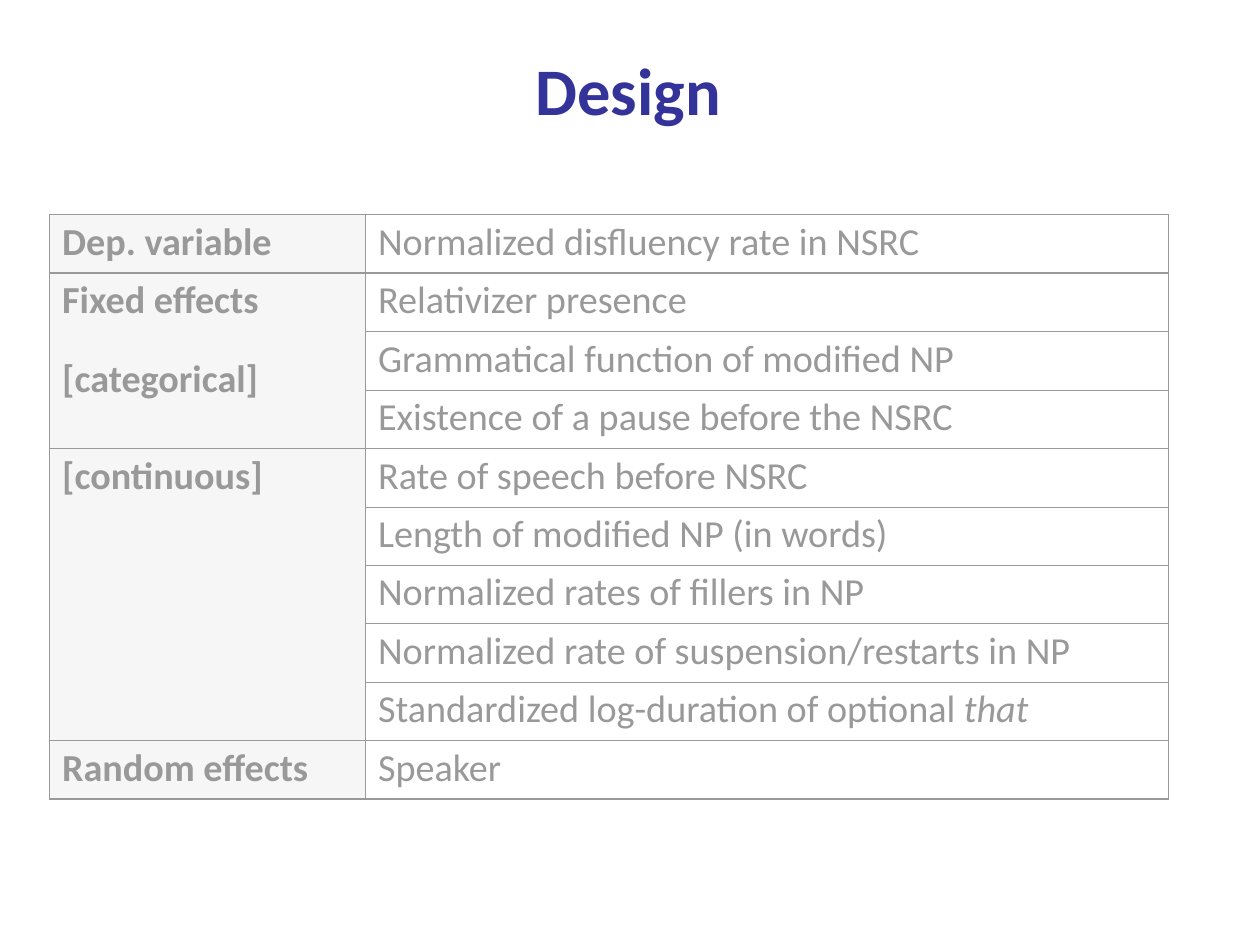
import pptx
import pptx.dml.color
import pptx.enum.shapes
import pptx.enum.text
import pptx.oxml
import pptx.oxml.ns
import pptx.util

Pt = pptx.util.Pt
RGBColor = pptx.dml.color.RGBColor

NAVY = RGBColor(0x33, 0x33, 0x99)
BLACK = RGBColor(0, 0, 0)
WHITE = RGBColor(0xFF, 0xFF, 0xFF)
LABEL_GREY = RGBColor(0xEA, 0xEA, 0xEA)

DESIGN = [
    (["Dep. variable"], [["Normalized disfluency rate in NSRC"]]),
    (["Fixed effects", "[categorical]"], [
        ["Relativizer presence"],
        ["Grammatical function of modified NP"],
        ["Existence of a pause before the NSRC"],
    ]),
    (["[continuous]"], [
        ["Rate of speech before NSRC"],
        ["Length of modified NP (in words)"],
        ["Normalized rates of fillers in NP"],
        ["Normalized rate of suspension/restarts in NP"],
        ["Standardized log-duration of optional ", "that"],
    ]),
    (["Random effects"], [["Speaker"]]),
]


class DesignPage:
    """Draws styled elements on one slide, with all lengths in points."""

    font_name = "Calibri"
    title_size, table_size = 54, 31
    paragraph_gap = 26
    thin, outer, rule = 0.45, 1.08, 1.47

    def __init__(self, deck):
        self.page = deck.slides.add_slide(deck.slide_layouts[5])

    def style(self, paragraph, size, color, bold):
        for span in paragraph.runs:
            span.font.name = self.font_name
            span.font.size = Pt(size)
            span.font.bold = bold
            span.font.color.rgb = color

    def title(self, text, left, top, width, height):
        box = self.page.shapes.title
        box.left, box.top, box.width, box.height = map(Pt, (left, top, width, height))
        frame = box.text_frame
        frame.text = text
        frame.vertical_anchor = pptx.enum.text.MSO_ANCHOR.MIDDLE
        frame.margin_left, frame.margin_right = Pt(11), Pt(13)
        frame.margin_top = frame.margin_bottom = 0
        para = frame.paragraphs[0]
        para.alignment = pptx.enum.text.PP_ALIGN.CENTER
        self.style(para, self.title_size, NAVY, True)

    def borders(self, cell, widths):
        properties = cell._tc.get_or_add_tcPr()
        for side, width in zip("LRTB", widths):
            properties.append(pptx.oxml.parse_xml(
                f'<a:ln{side} {pptx.oxml.ns.nsdecls("a")} w="{int(Pt(width))}">'
                f'<a:solidFill><a:srgbClr val="{BLACK}"/></a:solidFill></a:ln{side}>'))

    def frame_cell(self, table, row, column):
        cell = table.cell(row, column)
        last_row = len(table.rows) - 1
        self.borders(cell, (
            self.outer if column == 0 else self.thin,
            self.outer if column == 1 else self.thin,
            {0: self.outer, 1: self.rule}.get(row, self.thin),
            {0: self.rule, last_row: self.outer}.get(row, self.thin),
        ))
        cell.margin_left = cell.margin_right = Pt(10.2)
        cell.margin_top = cell.margin_bottom = Pt(3.6)
        if column == 0:
            cell.fill.solid()
            cell.fill.fore_color.rgb = LABEL_GREY
        else:
            cell.fill.background()

    def label(self, cell, lines):
        cell.text_frame.text = "\n".join(lines)
        for index, para in enumerate(cell.text_frame.paragraphs):
            if index:
                para.space_before = Pt(self.paragraph_gap)
            self.style(para, self.table_size, BLACK, True)

    def entry(self, cell, parts):
        para = cell.text_frame.paragraphs[0]
        for index, part in enumerate(parts):
            span = para.add_run()
            span.text = part
            span.font.italic = index > 0
        self.style(para, self.table_size, BLACK, False)

    def table(self, groups, left, top, column_widths, row_height):
        count = sum(len(entries) for _, entries in groups)
        table = self.page.shapes.add_table(
            count, 2, Pt(left), Pt(top), Pt(sum(column_widths)), Pt(row_height * count)).table
        table.first_row = table.horz_banding = False
        for column, width in zip(table.columns, column_widths):
            column.width = Pt(width)
        for row in range(count):
            table.rows[row].height = Pt(row_height)
            for column in range(2):
                self.frame_cell(table, row, column)
        row = 0
        for lines, entries in groups:
            first = table.cell(row, 0)
            if len(entries) > 1:
                first.merge(table.cell(row + len(entries) - 1, 0))
            self.label(first, lines)
            for parts in entries:
                self.entry(table.cell(row, 1), parts)
                row += 1

    def veil(self, left, top, width, height, opacity):
        shape = self.page.shapes.add_shape(
            pptx.enum.shapes.MSO_SHAPE.RECTANGLE, *map(Pt, (left, top, width, height)))
        shape.shadow.inherit = False
        shape.line.fill.background()
        shape.fill.solid()
        shape.fill.fore_color.rgb = WHITE
        color = shape._element.spPr.find(".//" + pptx.oxml.ns.qn("a:srgbClr"))
        color.append(pptx.oxml.parse_xml(
            f'<a:alpha {pptx.oxml.ns.nsdecls("a")} val="{opacity * 1000}"/>'))


def main():
    deck = pptx.Presentation()
    deck.slide_width, deck.slide_height = Pt(1023.87), Pt(767.87)
    design = DesignPage(deck)
    design.title("Design", 80.5, 18, 862, 108)
    design.table(DESIGN, 40.4, 174.4, (256.7, 652.5), 47.5)
    design.veil(36, 166.3, 919.5, 532, 60)
    deck.save("out.pptx")


if __name__ == "__main__":
    main()
